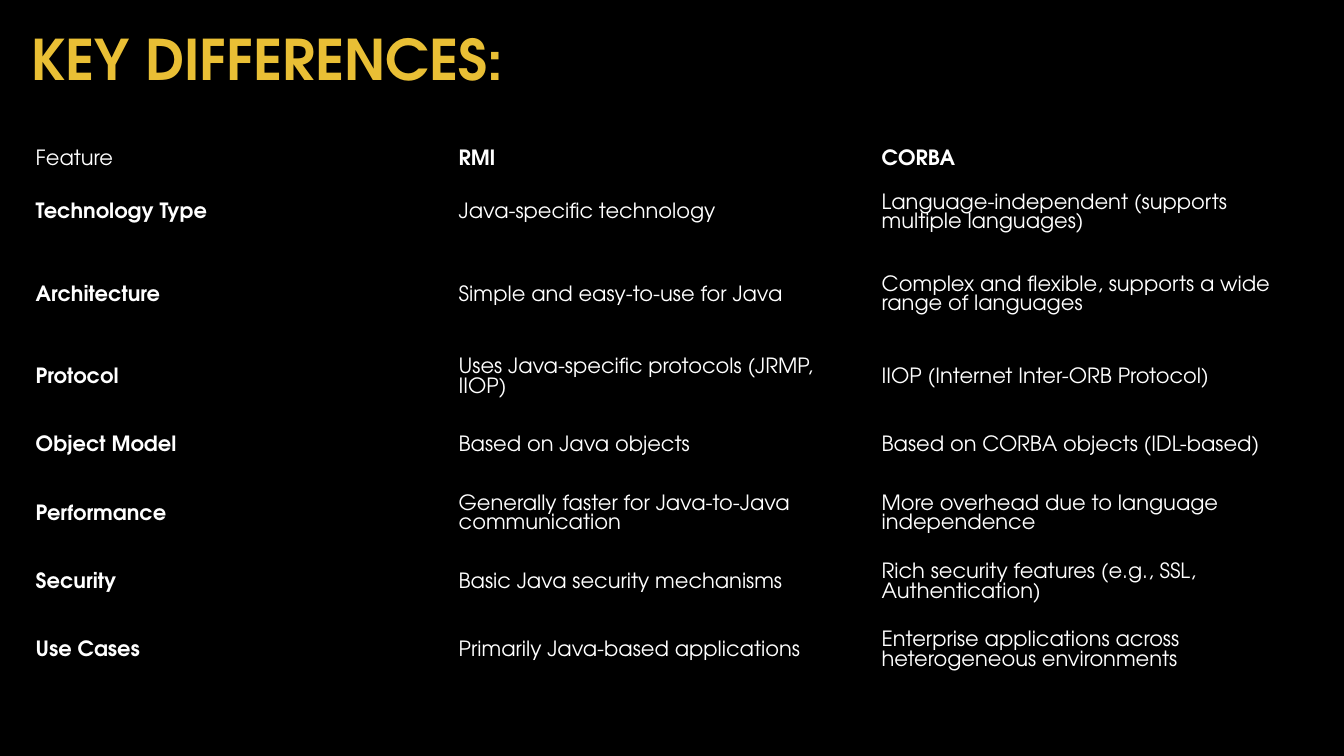
"""Build the slide that compares RMI with CORBA."""
from pptx import Presentation
from pptx.dml.color import RGBColor
from pptx.enum.text import MSO_ANCHOR, PP_ALIGN
from pptx.oxml.ns import qn
from pptx.util import Cm, Pt

MID = MSO_ANCHOR.MIDDLE
RIGHT = PP_ALIGN.RIGHT
FACE = "TeX Gyre Adventor"
BLACK, WHITE, GOLD = "000000", "FFFFFF", "E9BF35"
PLAIN = "{2D5ABB26-0587-4C30-8999-92F81FD0307C}"

TITLE = "KEY DIFFERENCES:"
ROWS = [
    ("Feature", "RMI", "CORBA"),
    ("Technology Type", "Java-specific technology",
     "Language-independent (supports multiple languages)"),
    ("Architecture", "Simple and easy-to-use for Java",
     "Complex and flexible, supports a wide range of languages"),
    ("Protocol", "Uses Java-specific protocols (JRMP, IIOP)",
     "IIOP (Internet Inter-ORB Protocol)"),
    ("Object Model", "Based on Java objects",
     "Based on CORBA objects (IDL-based)"),
    ("Performance", "Generally faster for Java-to-Java communication",
     "More overhead due to language independence"),
    ("Security", "Basic Java security mechanisms",
     "Rich security features (e.g., SSL, Authentication)"),
    ("Use Cases", "Primarily Java-based applications",
     "Enterprise applications across heterogeneous environments"),
]
HIGH = [0.98, 1.72, 2.43] + [1.72] * 5
WIDE = 10.66


def color(code):
    return RGBColor.from_string(code)


def write(par, text, size, code, bold):
    par.text = text
    font = par.font
    font.name, font.size, font.bold = FACE, Pt(size), bold
    font.color.rgb = color(code)


def add_title(slide):
    box = slide.shapes.add_textbox(0, 0, Cm(12.93), Cm(3.12))
    frame = box.text_frame
    frame.word_wrap = True
    frame.vertical_anchor = MID
    par = frame.paragraphs[0]
    par.alignment, par.line_spacing = RIGHT, 0.9
    write(par, TITLE, 40, GOLD, True)


def add_grid(slide):
    cols = len(ROWS[0])
    frame = slide.shapes.add_table(len(ROWS), cols, Cm(0.7), Cm(3.53),
                                   Cm(WIDE * cols), Cm(sum(HIGH)))
    for style in frame.element.iter(qn("a:tableStyleId")):
        style.text = PLAIN
    table = frame.table
    table.horz_banding = False
    for col in table.columns:
        col.width = Cm(WIDE)
    for r, (row, high) in enumerate(zip(ROWS, HIGH)):
        table.rows[r].height = Cm(high)
        for c, text in enumerate(row):
            cell = table.cell(r, c)
            cell.fill.background()
            cell.vertical_anchor = MID
            cell.margin_left = cell.margin_right = Cm(0.2)
            cell.margin_top = cell.margin_bottom = Cm(0.1)
            bold = (r == 0) != (c == 0)
            write(cell.text_frame.paragraphs[0], text, 15, WHITE, bold)


def main():
    deck = Presentation()
    deck.slide_width, deck.slide_height = Cm(33.87), Cm(19.05)
    slide = deck.slides.add_slide(deck.slide_layouts[6])
    fill = slide.background.fill
    fill.solid()
    fill.fore_color.rgb = color(BLACK)
    add_title(slide)
    add_grid(slide)
    deck.save("out.pptx")


if __name__ == "__main__":
    main()
